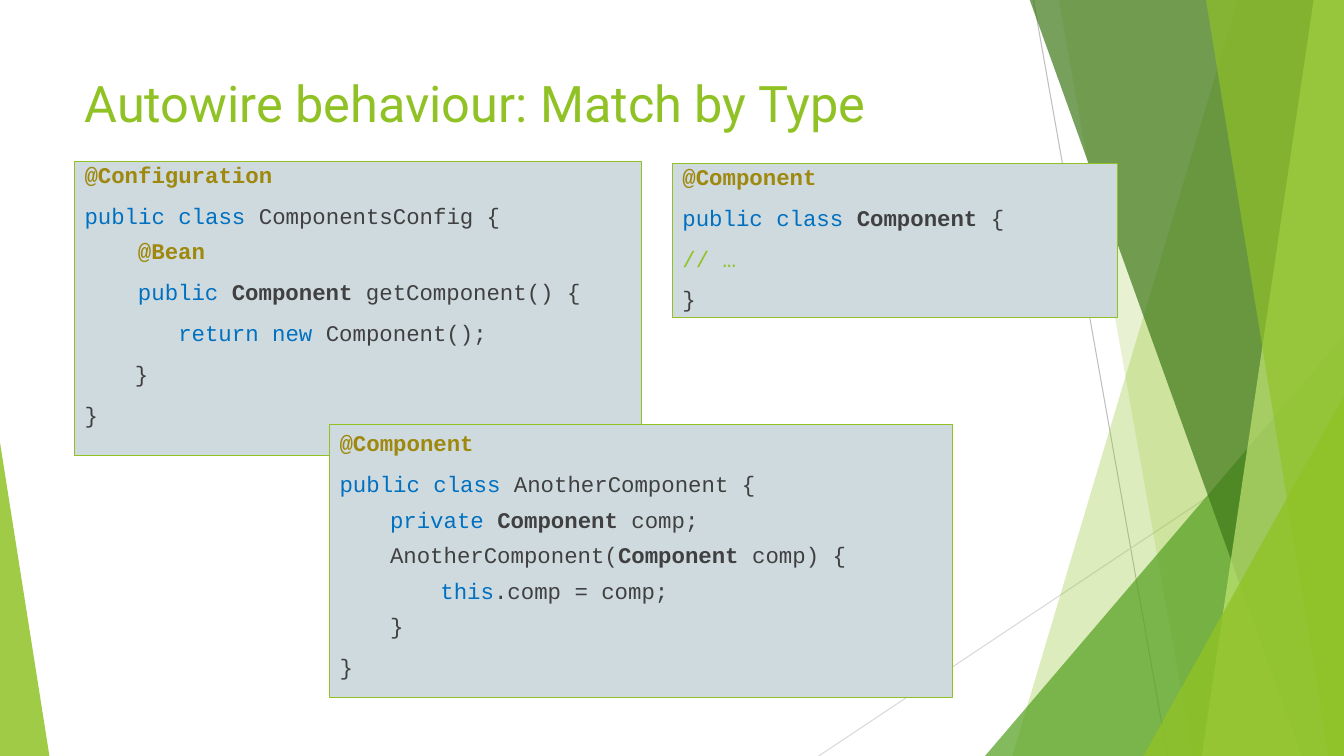
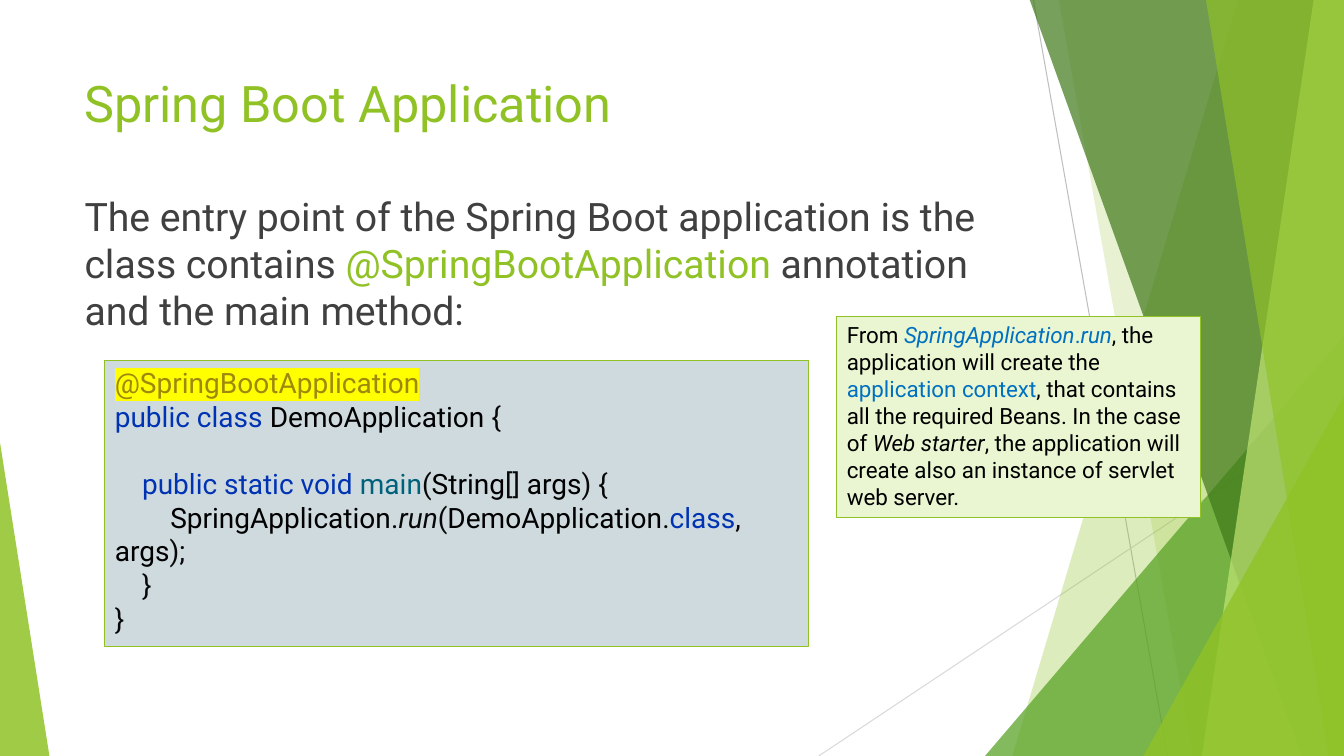
from dataclasses import dataclass
from typing import NamedTuple

import lxml.etree
import pptx
import pptx.dml.color
import pptx.dml.fill
import pptx.enum.shapes
import pptx.enum.text
import pptx.oxml.ns
import pptx.shapes.autoshape
import pptx.shapes.base
import pptx.slide
import pptx.text.text
import pptx.util

Inches = pptx.util.Inches
qn = pptx.oxml.ns.qn


@dataclass(frozen=True)
class Theme:
    lime: str = "90C226"
    green: str = "54A021"
    forest: str = "3F7819"
    pale_lime: str = "C0E474"
    ray: str = "BFBFBF"
    faint_ray: str = "D9D9D9"
    code_fill: str = "CFDADF"
    note_fill: str = "EAF6D1"
    ink: str = "404040"
    black: str = "000000"
    near_black: str = "080808"
    blue: str = "0070C0"
    keyword: str = "0033B3"
    method: str = "00627A"
    annotation: str = "9E880D"
    marker: str = "FFFF00"
    sans: str = "Roboto"
    mono: str = "Courier New"
    title_size: float = 36
    body_size: float = 28
    demo_size: float = 20
    code_size: float = 16
    outline: float = 0.75
    gap: float = 10
    tight: float = 0.8


THEME = Theme()
WIDTH, HEIGHT, BLEED = 13.33, 7.5, -0.01


class Box(NamedTuple):
    left: float
    top: float
    width: float
    height: float


class Ray(NamedTuple):
    start: tuple[float, float]
    end: tuple[float, float]
    color: str


class Facet(NamedTuple):
    top_left: float
    bottom_left: float
    color: str
    opacity: int


class Corner(NamedTuple):
    box: Box
    apex: float
    color: str
    opacity: int


@dataclass(frozen=True)
class Span:
    text: str
    color: str = THEME.ink
    bold: bool = False
    italic: bool = False
    highlight: str = ""


@dataclass(frozen=True)
class Line:
    spans: tuple[Span, ...]
    indent: float = 0
    spacing: float = 1
    before: float = 0


@dataclass(frozen=True)
class Panel:
    box: Box
    lines: tuple[Line, ...]
    size: float
    font: str = THEME.sans
    fill: str = ""


BACKDROP = (
    Ray((10.25, 0), (11.58, HEIGHT), THEME.ray),
    Ray((WIDTH, 4.03), (8.12, HEIGHT), THEME.faint_ray),
    Facet(12.28, 10.04, THEME.lime, 30),
    Facet(10.5, 11.83, THEME.lime, 20),
    Corner(Box(9.77, 3.33, 3.56, 4.17), 1, THEME.green, 72),
    Facet(10.21, 12.91, THEME.forest, 70),
    Facet(13.03, 11.92, THEME.pale_lime, 70),
    Facet(11.96, 13.18, THEME.lime, 65),
    Corner(Box(11.34, 3.93, 1.99, 3.57), 1, THEME.lime, 80),
    Corner(Box(0, 4.39, 0.49, 3.11), 0, THEME.lime, 85),
)


def rgb(color: str) -> pptx.dml.color.RGBColor:
    return pptx.dml.color.RGBColor.from_string(color)


def paint(shape: pptx.shapes.autoshape.Shape, color: str, opacity: int = 100) -> None:
    shape.shadow.inherit = False
    shape.fill.solid()
    shape.fill.fore_color.rgb = rgb(color)
    if opacity < 100:
        tint = shape.element.spPr.find(qn("a:solidFill")).find(qn("a:srgbClr"))
        lxml.etree.SubElement(tint, qn("a:alpha")).set("val", str(opacity * 1000))


def draw_ray(slide: pptx.slide.Slide, ray: Ray) -> None:
    connector = slide.shapes.add_connector(
        pptx.enum.shapes.MSO_CONNECTOR.STRAIGHT,
        *(Inches(value) for value in ray.start + ray.end),
    )
    connector.line.color.rgb = rgb(ray.color)
    connector.line.width = pptx.util.Pt(THEME.outline)
    lxml.etree.SubElement(connector.element.spPr, qn("a:effectLst"))


def draw_facet(slide: pptx.slide.Slide, facet: Facet) -> None:
    corners = [
        (facet.top_left, BLEED),
        (WIDTH, BLEED),
        (WIDTH, HEIGHT),
        (facet.bottom_left, HEIGHT),
    ]
    points = [(Inches(x), Inches(y)) for x, y in corners]
    builder = slide.shapes.build_freeform(*points[0])
    builder.add_line_segments(points[1:], close=True)
    shape = builder.convert_to_shape()
    paint(shape, facet.color, facet.opacity)
    shape.line.fill.background()


def draw_corner(slide: pptx.slide.Slide, corner: Corner) -> None:
    shape = slide.shapes.add_shape(
        pptx.enum.shapes.MSO_SHAPE.ISOSCELES_TRIANGLE, *map(Inches, corner.box)
    )
    shape.adjustments[0] = corner.apex
    paint(shape, corner.color, corner.opacity)
    shape.line.fill.background()


def draw_backdrop(slide: pptx.slide.Slide) -> None:
    painters = {Ray: draw_ray, Facet: draw_facet, Corner: draw_corner}
    for part in BACKDROP:
        painters[type(part)](slide, part)


def add_span(paragraph: pptx.text.text._Paragraph, span: Span, panel: Panel) -> None:
    run = paragraph.add_run()
    run.text = span.text
    run.font.size = pptx.util.Pt(panel.size)
    run.font.bold = span.bold
    run.font.italic = span.italic
    run.font.color.rgb = rgb(span.color)
    if span.highlight:
        marker = lxml.etree.SubElement(run.font._element, qn("a:highlight"))
        lxml.etree.SubElement(marker, qn("a:srgbClr")).set("val", span.highlight)
    run.font.name = panel.font


def draw_panel(slide: pptx.slide.Slide, panel: Panel) -> None:
    place = [Inches(value) for value in panel.box]
    if panel.fill:
        shape = slide.shapes.add_shape(pptx.enum.shapes.MSO_SHAPE.RECTANGLE, *place)
        paint(shape, panel.fill)
        shape.line.color.rgb = rgb(THEME.lime)
        shape.line.width = pptx.util.Pt(THEME.outline)
    else:
        shape = slide.shapes.add_textbox(*place)
    frame = shape.text_frame
    frame.word_wrap = True
    frame.vertical_anchor = pptx.enum.text.MSO_ANCHOR.TOP
    for index, line in enumerate(panel.lines):
        paragraph = frame.add_paragraph() if index else frame.paragraphs[0]
        paragraph.alignment = pptx.enum.text.PP_ALIGN.LEFT
        paragraph.line_spacing = line.spacing
        paragraph.space_before = pptx.util.Pt(line.before)
        if line.indent:
            properties = paragraph._p.get_or_add_pPr()
            properties.set("marL", "0")
            properties.set("indent", str(Inches(line.indent)))
        for span in line.spans:
            add_span(paragraph, span, panel)


def code(*spans: Span, indent: float = 0, spacing: float = 1) -> Line:
    return Line(spans, indent, spacing, THEME.gap)


def title(text: str) -> Panel:
    heading = Line((Span(text, THEME.lime),))
    return Panel(Box(0.74, 0.67, 9.4, 0.79), (heading,), THEME.title_size)


def listing(box: Box, *lines: Line) -> Panel:
    return Panel(box, lines, THEME.code_size, THEME.mono, THEME.code_fill)


def match_by_type() -> list[Panel]:
    tight = THEME.tight
    public_class = Span("public class ", THEME.blue)
    component_mark = Span("@Component", THEME.annotation, bold=True)
    component = Span("Component", bold=True)
    brace = Span("}")
    config = listing(
        Box(0.74, 1.6, 5.62, 2.92),
        code(Span("@Configuration", THEME.annotation, bold=True), spacing=tight),
        code(public_class, Span("ComponentsConfig {")),
        code(Span("@Bean", THEME.annotation, bold=True), indent=0.53, spacing=tight),
        code(Span("public ", THEME.blue), component, Span(" getComponent() {"), indent=0.53),
        code(Span("return new", THEME.blue), Span(" Component();"), indent=0.93),
        code(brace, indent=0.5),
        code(brace),
    )
    consumer = listing(
        Box(3.27, 4.21, 6.18, 2.71),
        code(component_mark),
        code(public_class, Span("AnotherComponent {")),
        code(Span("private ", THEME.blue), component, Span(" comp;"), indent=0.5, spacing=tight),
        code(Span("AnotherComponent("), component, Span(" comp) {"), indent=0.5, spacing=tight),
        code(Span("this", THEME.blue), Span(".comp = comp;"), indent=1, spacing=tight),
        code(brace, indent=0.5, spacing=tight),
        code(brace),
    )
    bean = listing(
        Box(6.67, 1.62, 4.41, 1.53),
        code(component_mark, spacing=tight),
        code(public_class, component, Span(" {")),
        code(Span("// …", THEME.lime)),
        code(brace),
    )
    return [title("Autowire behaviour: Match by Type"), config, consumer, bean]


def boot_application() -> list[Panel]:
    black, dark, keyword = THEME.black, THEME.near_black, THEME.keyword
    intro = Line((
        Span("The entry point of the Spring Boot application is the class contains "),
        Span("@SpringBootApplication ", THEME.lime),
        Span("annotation and the main method:"),
    ))
    demo = (
        Line((Span("@SpringBootApplication", THEME.annotation, highlight=THEME.marker),)),
        Line((Span("public class ", keyword), Span("DemoApplication ", black), Span("{", dark))),
        Line((
            Span("public static void ", keyword), Span("main", THEME.method),
            Span("(", dark), Span("String", black), Span("[] ", dark),
            Span("args", black), Span(") {", dark),
        ), indent=0.27, before=24),
        Line((
            Span("SpringApplication", black), Span(".", dark), Span("run", dark, italic=True),
            Span("(", dark), Span("DemoApplication", black), Span(".", dark),
            Span("class", keyword), Span(", ", dark), Span("args", black), Span(");", dark),
        ), indent=0.55),
        Line((Span("}", dark),), indent=0.27),
        Line((Span("}", dark),)),
    )
    note = Line((
        Span("From ", black), Span("SpringApplication", THEME.blue, italic=True),
        Span(".", THEME.blue), Span("run", THEME.blue, italic=True),
        Span(", the application will create the ", black),
        Span("application context", THEME.blue),
        Span(", that contains all the required Beans. In the case of ", black),
        Span("Web starter", black, italic=True),
        Span(", the application will create also an instance of servlet web server.", black),
    ))
    return [
        title("Spring Boot Application"),
        Panel(Box(0.74, 1.86, 9.4, 4.75), (intro,), THEME.body_size),
        Panel(Box(1.04, 3.58, 6.98, 2.83), demo, THEME.demo_size, fill=THEME.code_fill),
        Panel(Box(8.3, 3.14, 3.61, 1.99), (note,), THEME.code_size, fill=THEME.note_fill),
    ]


def main() -> None:
    deck = pptx.Presentation()
    deck.slide_width, deck.slide_height = Inches(WIDTH), Inches(HEIGHT)
    for panels in (match_by_type(), boot_application()):
        slide = deck.slides.add_slide(deck.slide_layouts[6])
        draw_backdrop(slide)
        for panel in panels:
            draw_panel(slide, panel)
    deck.save("out.pptx")


if __name__ == "__main__":
    main()
